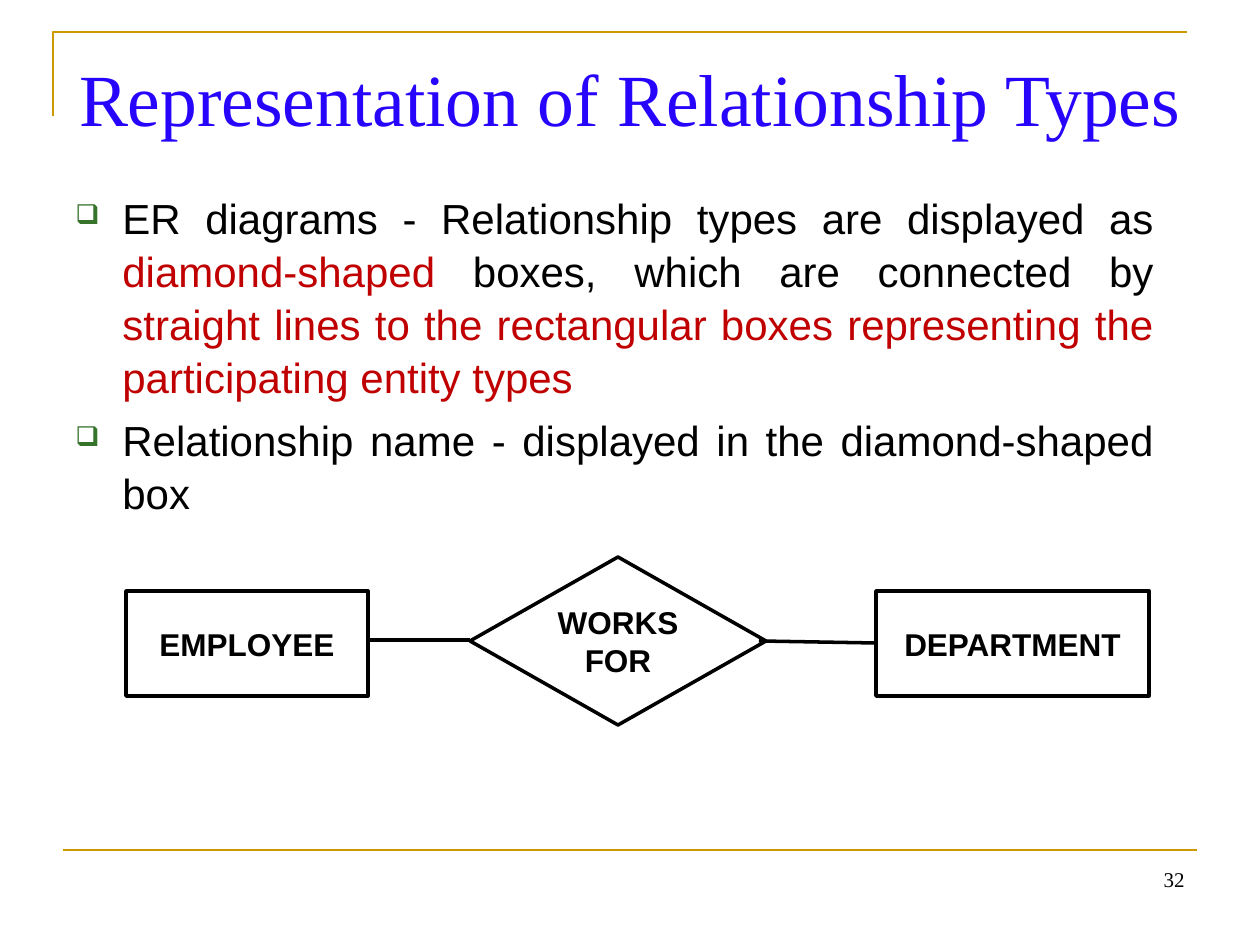
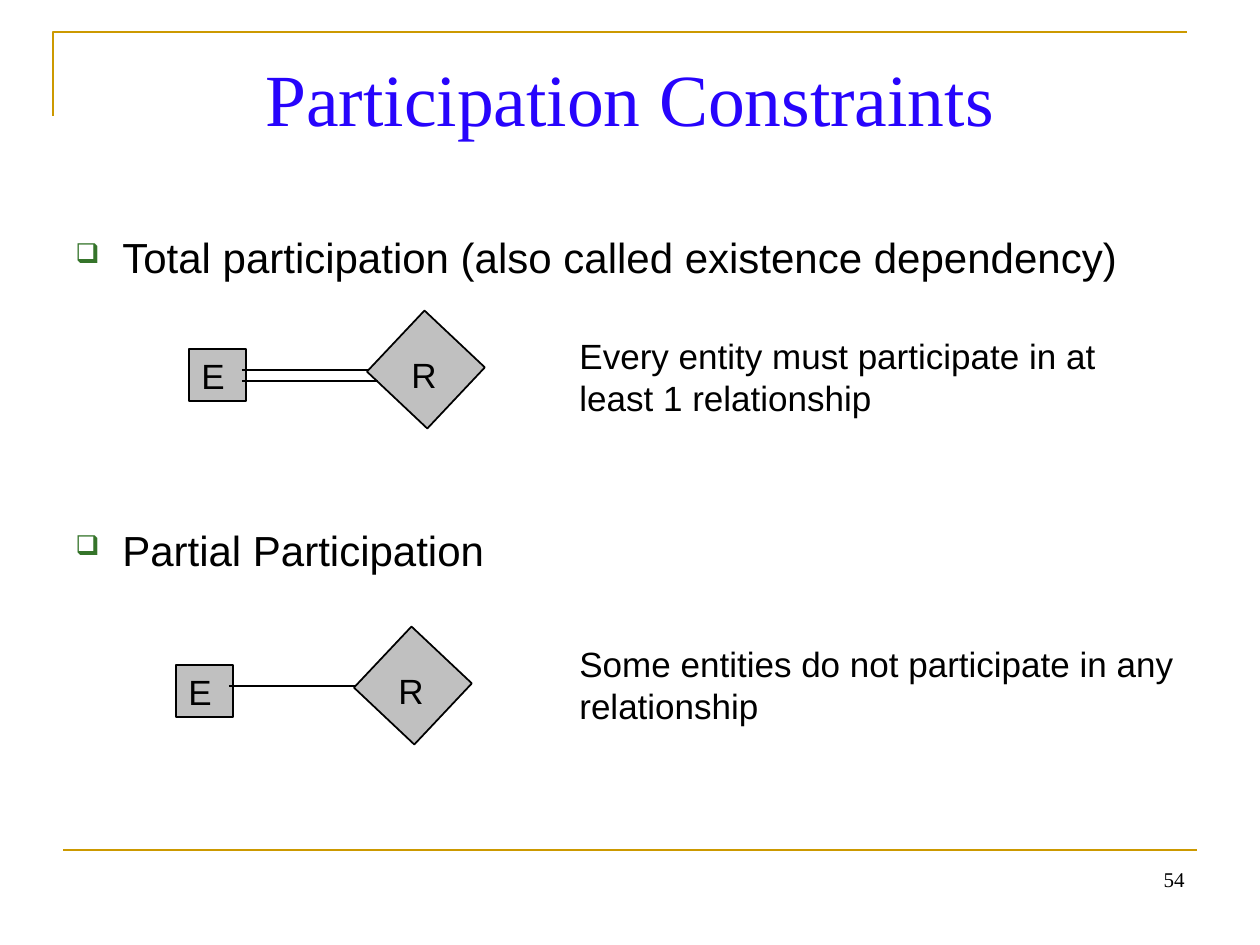
import pptx
import pptx.dml.color
import pptx.enum.shapes
import pptx.enum.text
import pptx.oxml
import pptx.oxml.ns
import pptx.util
from lxml import etree

RGBColor = pptx.dml.color.RGBColor
GOLD = RGBColor(0xCC, 0x99, 0x00)
TITLE_BLUE = RGBColor(0x27, 0x04, 0xFC)
BULLET_GREEN = RGBColor(0x35, 0x74, 0x2A)
RED = RGBColor(0xC0, 0x00, 0x00)
GRAY = RGBColor(0xC0, 0xC0, 0xC0)
BLACK = RGBColor(0x00, 0x00, 0x00)

SERIF = "Times New Roman"
SANS = "Arial"
PX = 914400 / 126

ALIGN = pptx.enum.text.PP_ALIGN
ANCHOR = pptx.enum.text.MSO_ANCHOR
PRESET = pptx.enum.shapes.MSO_SHAPE


def px(length):
    return pptx.util.Emu(round(length * PX))


class Deck:
    def __init__(self):
        self.presentation = pptx.Presentation()
        self.presentation.slide_width = px(1260)
        self.presentation.slide_height = px(945)
        self.slide = None

    def add_slide(self, title, number):
        """Start a slide with its gold frame, title and page number."""
        self.slide = self.presentation.slides.add_slide(self.presentation.slide_layouts[6])
        self.corner()
        self.line(63, 850, 1197, 850, GOLD, 1.5)
        self.text(title, 63, 38, 1134, 157, 42, SERIF, TITLE_BLUE, ALIGN.CENTER, inset_top=15)
        self.text(number, 903, 861, 294, 66, 12, SERIF, align=ALIGN.RIGHT)

    def corner(self):
        builder = self.slide.shapes.build_freeform(px(53), px(116))
        builder.add_line_segments([(px(53), px(32)), (px(1187), px(32))], close=False)
        shape = builder.convert_to_shape()
        shape.shadow.inherit = False
        shape.fill.background()
        shape.line.color.rgb = GOLD
        shape.line.width = pptx.util.Pt(1.5)

    def line(self, x1, y1, x2, y2, color=BLACK, width=1):
        connector = self.slide.shapes.add_connector(
            pptx.enum.shapes.MSO_CONNECTOR.STRAIGHT, px(x1), px(y1), px(x2), px(y2))
        connector.line.color.rgb = color
        connector.line.width = pptx.util.Pt(width)
        etree.SubElement(connector._element.spPr, pptx.oxml.ns.qn("a:effectLst"))

    def text_frame(self, left, top, width, height, inset_top=6):
        """Add an empty wrapping text box and return its text frame."""
        box = self.slide.shapes.add_textbox(px(left), px(top), px(width), px(height))
        frame = box.text_frame
        frame.word_wrap = True
        frame.margin_top = px(inset_top)
        return frame

    def style(self, font, size, name=SANS, color=BLACK, bold=False):
        font.size = pptx.util.Pt(size)
        font.name = name
        font.color.rgb = color
        font.bold = bold

    def text(self, words, left, top, width, height, size=20, name=SANS, color=BLACK,
             align=ALIGN.LEFT, inset_top=6):
        frame = self.text_frame(left, top, width, height, inset_top)
        frame.text = words
        paragraph = frame.paragraphs[0]
        paragraph.alignment = align
        self.style(paragraph.runs[0].font, size, name, color)

    def bullets(self, items, top, width, align, gap):
        """Write bulleted items, each a list of (words, color), gap points apart."""
        frame = self.text_frame(63, top, width, 624, inset_top=9)
        for index, pieces in enumerate(items):
            paragraph = frame.add_paragraph() if index else frame.paragraphs[0]
            self.bullet(paragraph)
            paragraph.alignment = align
            paragraph.line_spacing = 1.05
            paragraph.space_before = pptx.util.Pt(gap if index else 0)
            for words, color in pieces:
                run = paragraph.add_run()
                run.text = words
                self.style(run.font, 24, color=color)

    def bullet(self, paragraph):
        properties = paragraph._p.get_or_add_pPr()
        properties.set("marL", str(px(47)))
        properties.set("indent", str(px(-47)))
        namespace = pptx.oxml.ns.nsdecls("a")
        for xml in (f'<a:buClr {namespace}><a:srgbClr val="{BULLET_GREEN}"/></a:buClr>',
                    f'<a:buSzPct {namespace} val="65000"/>',
                    f'<a:buChar {namespace} char="❑"/>'):
            properties.append(pptx.oxml.parse_xml(xml))

    def shape(self, preset, left, top, width, height, fill=None, line_width=1):
        shape = self.slide.shapes.add_shape(preset, px(left), px(top), px(width), px(height))
        shape.shadow.inherit = False
        if fill is None:
            shape.fill.background()
        else:
            shape.fill.solid()
            shape.fill.fore_color.rgb = fill
        shape.line.color.rgb = BLACK
        shape.line.width = pptx.util.Pt(line_width)
        return shape

    def labelled_shape(self, preset, label, left, top, width, height):
        shape = self.shape(preset, left, top, width, height, line_width=2)
        frame = shape.text_frame
        frame.margin_left = frame.margin_right = 0
        frame.vertical_anchor = ANCHOR.MIDDLE
        frame.text = label
        paragraph = frame.paragraphs[0]
        paragraph.alignment = ALIGN.CENTER
        for run in paragraph.runs:
            self.style(run.font, 18, bold=True)

    def participation(self, left, top, links):
        """Join entity E to relationship R; links are (y offset, length) pairs."""
        self.shape(PRESET.RECTANGLE, left, top, 57, 52, GRAY)
        diamond = self.shape(PRESET.RECTANGLE, left + 195, top - 21, 84, 83, GRAY)
        diamond.rotation = 313.3
        for offset, length in links:
            self.line(left + 53, top + offset, left + 53 + length, top + offset)
        self.text("R", left + 210, top - 2, 53, 54)
        self.text("E", left, top - 1, 53, 54)


def relationship_types(deck):
    deck.add_slide("Representation of Relationship Types", "32")
    deck.bullets([
        [("ER diagrams - Relationship types are displayed as ", BLACK),
         ("diamond-shaped", RED),
         (" boxes, which are connected by ", BLACK),
         ("straight lines to the rectangular boxes representing the "
          "participating entity types", RED)],
        [("Relationship name - displayed in the diamond-shaped box", BLACK)],
    ], 181, 1103, ALIGN.JUSTIFY, 6)
    deck.labelled_shape(PRESET.RECTANGLE, "EMPLOYEE", 126, 591, 242, 105)
    deck.labelled_shape(PRESET.RECTANGLE, "DEPARTMENT", 876, 591, 273, 105)
    deck.labelled_shape(PRESET.DIAMOND, "WORKS\vFOR", 470, 557, 296, 168)
    deck.line(368, 640, 470, 640, width=2)
    deck.line(759, 641, 876, 643, width=2)


def participation_constraints(deck):
    deck.add_slide("Participation Constraints", "54")
    deck.bullets([
        [("Total participation (also called existence dependency)", BLACK)],
        [("Partial Participation", BLACK)],
    ], 220, 1134, ALIGN.LEFT, 137)
    deck.participation(189, 349, [(21, 126), (32, 136)])
    deck.text("Every entity must participate in at least 1 relationship", 567, 328, 588, 96)
    deck.participation(176, 665, [(21, 126)])
    deck.text("Some entities do not participate in any relationship", 567, 636, 620, 96)


def main():
    deck = Deck()
    relationship_types(deck)
    participation_constraints(deck)
    deck.presentation.save("out.pptx")


if __name__ == "__main__":
    main()
